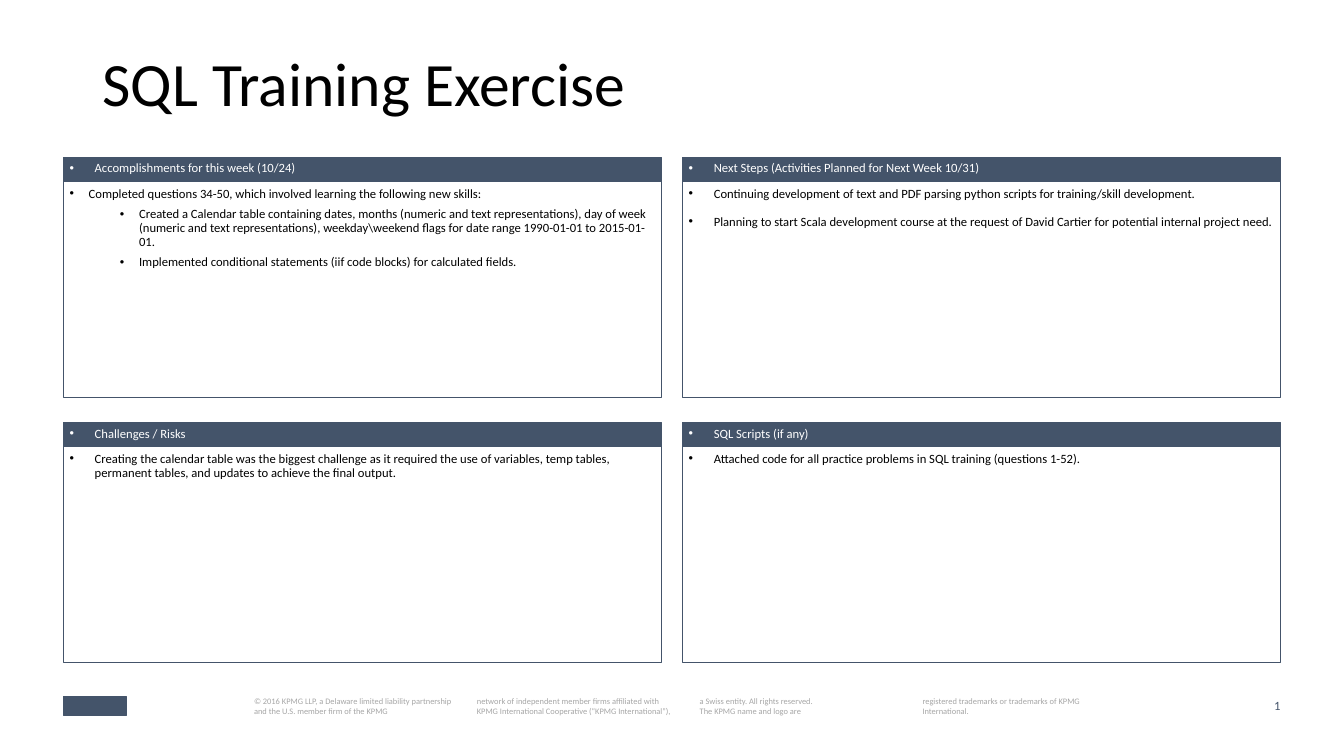
import pptx
import pptx.dml.color
import pptx.enum.shapes
import pptx.enum.text
import pptx.oxml.ns
import pptx.util
from lxml import etree

Inches = pptx.util.Inches
Pt = pptx.util.Pt
RGBColor = pptx.dml.color.RGBColor
Anchor = pptx.enum.text.MSO_ANCHOR
Align = pptx.enum.text.PP_ALIGN
RECTANGLE = pptx.enum.shapes.MSO_SHAPE.RECTANGLE

SLATE = RGBColor(0x44, 0x54, 0x6A)
GRAY = RGBColor(0xA6, 0xA6, 0xA6)
BLACK = RGBColor(0, 0, 0)
WHITE = RGBColor(0xFF, 0xFF, 0xFF)
FONT = "Calibri"

TITLE = "SQL Training Exercise"
PANELS = [
    ("Accomplishments for this week (10/24)", 0.19, [
        (0, "Completed questions 34-50, which involved learning the following new skills:"),
        (1, "Created a Calendar table containing dates, months (numeric and text representations), "
            "day of week (numeric and text representations), weekday\\weekend flags for date range "
            "1990-01-01 to 2015-01-01."),
        (1, "Implemented conditional statements (iif code blocks) for calculated fields."),
    ]),
    ("Next Steps (Activities Planned for Next Week 10/31)", 0.25, [
        (0, "Continuing development of text and PDF parsing python scripts for training/skill development."),
        (0, "Planning to start Scala development course at the request of David Cartier "
            "for potential internal project need."),
    ]),
    ("Challenges / Risks", 0.25, [
        (0, "Creating the calendar table was the biggest challenge as it required the use of variables, "
            "temp tables, permanent tables, and updates to achieve the final output."),
    ]),
    ("SQL Scripts (if any)", 0.25, [
        (0, "Attached code for all practice problems in SQL training (questions 1-52)."),
    ]),
]
COPYRIGHT = [
    "© 2016 KPMG LLP, a Delaware limited liability partnership and the U.S. member firm of the KPMG",
    "network of independent member firms affiliated with KPMG International Cooperative (“KPMG International”),",
    "a Swiss entity. All rights reserved.\vThe KPMG name and logo are",
    "registered trademarks or trademarks of KPMG International.",
]
PAGE_NUMBER = "1"

LEFT, TOP = 0.63, 1.56
PANEL_WIDTH, HEADER_HEIGHT, BODY_HEIGHT = 5.93, 0.24, 2.14
COLUMN_STEP, ROW_STEP = 6.14, 2.63
FOOTER_TOP, COPYRIGHT_LEFT, COPYRIGHT_STEP = 6.91, 2.52, 2.21


def set_frame(box, margin, anchor):
    frame = box.text_frame
    frame.word_wrap = True
    frame.vertical_anchor = anchor
    frame.margin_left = frame.margin_right = Inches(margin)
    frame.margin_top = frame.margin_bottom = Inches(margin)
    return frame


def style_runs(para, size, color):
    for span in para.runs:
        span.font.name = FONT
        span.font.size = Pt(size)
        span.font.color.rgb = color


def add_label(page, area, text, size, color, anchor=Anchor.TOP, align=Align.LEFT, margin=0):
    box = page.shapes.add_textbox(*map(Inches, area))
    frame = set_frame(box, margin, anchor)
    frame.text = text
    para = frame.paragraphs[0]
    para.alignment = align
    style_runs(para, size, color)
    return para


def add_block(page, area, fill=None):
    block = page.shapes.add_shape(RECTANGLE, *map(Inches, area))
    block.shadow.inherit = False
    if fill is None:
        block.fill.background()
    else:
        block.fill.solid()
        block.fill.fore_color.rgb = fill
    block.line.color.rgb = SLATE
    block.line.width = Pt(0.5)
    return block


def add_bullets(block, items, indent, color, spacing, anchor):
    frame = set_frame(block, 0.06, anchor)
    frame.text = "\n".join(text for level, text in items)
    for index, (para, (level, text)) in enumerate(zip(frame.paragraphs, items)):
        para.level = level
        para.alignment = Align.LEFT
        para.line_spacing = spacing
        if index:
            para.space_before = Pt(5 if level else 10)
        properties = para._p.get_or_add_pPr()
        properties.set("marL", str(Inches(indent + 0.5 * level)))
        properties.set("indent", str(-Inches(indent)))
        font = etree.SubElement(properties, pptx.oxml.ns.qn("a:buFont"))
        font.set("typeface", "Arial")
        bullet = etree.SubElement(properties, pptx.oxml.ns.qn("a:buChar"))
        bullet.set("char", "•")
        style_runs(para, 9, color)


def main():
    deck = pptx.Presentation()
    deck.slide_width, deck.slide_height = Inches(13.33), Inches(7.5)
    page = deck.slides.add_slide(deck.slide_layouts[6])

    add_block(page, (LEFT, FOOTER_TOP, 0.62, 0.19), SLATE)
    add_label(page, (12.2, FOOTER_TOP, 0.5, 0.16), PAGE_NUMBER, 9, SLATE, Anchor.BOTTOM, Align.RIGHT)
    for column, text in enumerate(COPYRIGHT):
        left = COPYRIGHT_LEFT + column * COPYRIGHT_STEP
        add_label(page, (left, FOOTER_TOP, 2, 0.4), text, 6, GRAY)

    for index, (heading, indent, items) in enumerate(PANELS):
        row, column = divmod(index, 2)
        left = LEFT + column * COLUMN_STEP
        top = TOP + row * ROW_STEP
        body = add_block(page, (left, top + HEADER_HEIGHT, PANEL_WIDTH, BODY_HEIGHT))
        add_bullets(body, items, indent, BLACK, 0.9, Anchor.TOP)
        header = add_block(page, (left, top, PANEL_WIDTH, HEADER_HEIGHT), SLATE)
        add_bullets(header, [(0, heading)], 0.25, WHITE, 0.8, Anchor.MIDDLE)

    title = add_label(page, (0.92, 0.4, 11.5, 0.91), TITLE, 44, BLACK, Anchor.MIDDLE, margin=0.1)
    title.line_spacing = 0.9
    deck.save("out.pptx")


if __name__ == "__main__":
    main()
